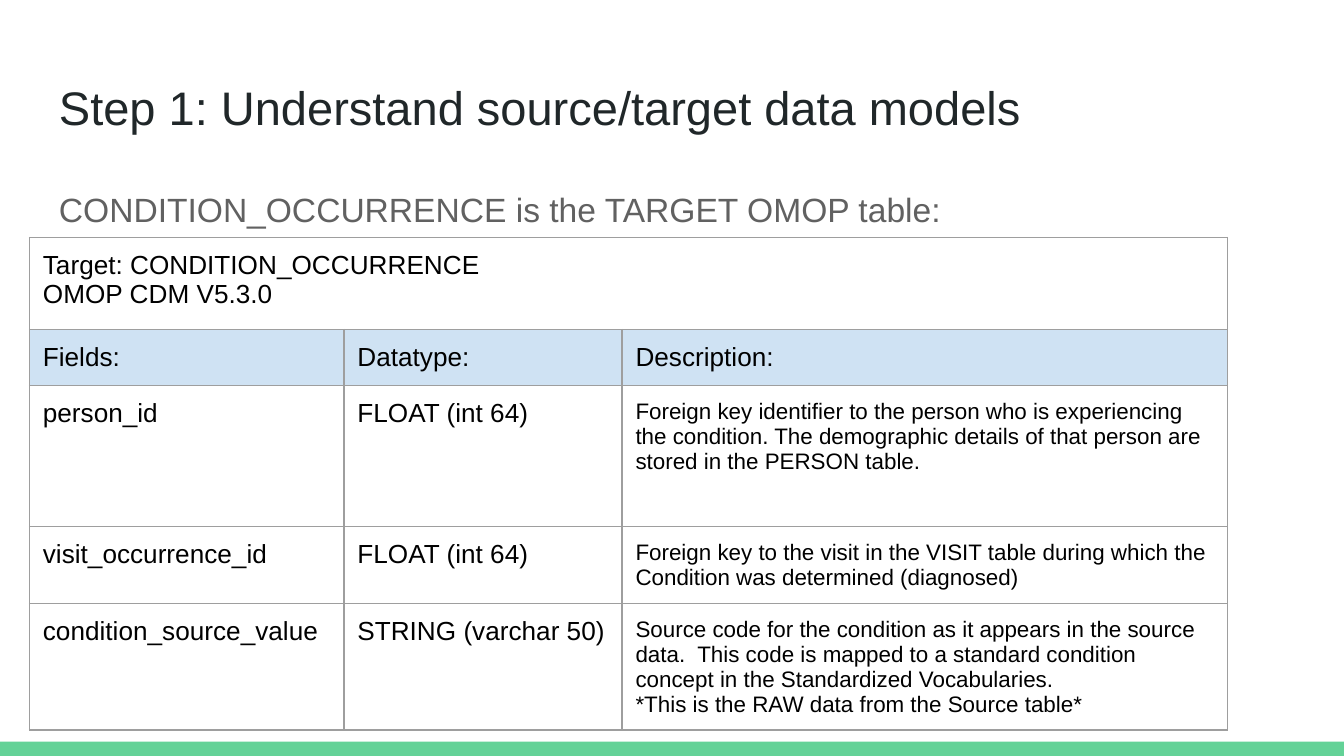
from lxml import etree
from pptx import Presentation
from pptx.dml.color import RGBColor
from pptx.enum import shapes, text
from pptx.oxml import ns
from pptx.util import Pt

COLORS = {
    "title": "202729",
    "body": "616161",
    "black": "000000",
    "header": "CFE2F3",
    "border": "9E9E9E",
    "accent": "63D297",
}
WIDTH, HEIGHT = 720, 405
INSET = 7.2
CELL_BOTTOM = 2
COLS = [168.5, 149, 324.5]
ROWS = [49.3, 30, 75.5, 41.2, 68]
TITLE_ROW = ["Target: CONDITION_OCCURRENCE", "OMOP CDM V5.3.0"]
HEADERS = ["Fields:", "Datatype:", "Description:"]
FIELDS = [
    ("person_id", "FLOAT (int 64)", [
        "Foreign key identifier to the person who is experiencing the condition. "
        "The demographic details of that person are stored in the PERSON table."]),
    ("visit_occurrence_id", "FLOAT (int 64)", [
        "Foreign key to the visit in the VISIT table during which the Condition "
        "was determined (diagnosed)"]),
    ("condition_source_value", "STRING (varchar 50)", [
        "Source code for the condition as it appears in the source data.  This code "
        "is mapped to a standard condition concept in the Standardized Vocabularies.",
        "*This is the RAW data from the Source table*"]),
]


def rgb(name):
    return RGBColor.from_string(COLORS[name])


def write(tf, lines, size=14, color="black", spacing=None):
    for i, line in enumerate(lines):
        p = tf.paragraphs[0] if i == 0 else tf.add_paragraph()
        p.line_spacing = spacing
        r = p.add_run()
        r.text = line
        r.font.name = "Arial"
        r.font.size = Pt(size)
        r.font.color.rgb = rgb(color)


def add_text(s, box, line, anchor=text.MSO_ANCHOR.TOP, **fmt):
    tf = s.shapes.add_textbox(*map(Pt, box)).text_frame
    tf.word_wrap = True
    tf.vertical_anchor = anchor
    tf.margin_left = tf.margin_right = tf.margin_top = tf.margin_bottom = Pt(INSET)
    write(tf, [line], **fmt)


def add_footer_bar(s, box):
    sp = s.shapes.add_shape(shapes.MSO_SHAPE.RECTANGLE, *map(Pt, box))
    sp.shadow.inherit = False
    sp.fill.solid()
    sp.fill.fore_color.rgb = rgb("accent")
    sp.line.fill.background()


def add_borders(cell):
    tc_pr = cell._tc.get_or_add_tcPr()
    for i, side in enumerate(("lnL", "lnR", "lnT", "lnB")):
        ln = etree.Element(ns.qn(f"a:{side}"), w=str(Pt(0.75)))
        fill = etree.SubElement(ln, ns.qn("a:solidFill"))
        etree.SubElement(fill, ns.qn("a:srgbClr"), val=COLORS["border"])
        tc_pr.insert(i, ln)


def fill_cell(cell, lines, size=14, fill=None):
    cell.margin_left = cell.margin_right = cell.margin_top = Pt(INSET)
    cell.margin_bottom = Pt(CELL_BOTTOM)
    if fill:
        cell.fill.solid()
        cell.fill.fore_color.rgb = rgb(fill)
    else:
        cell.fill.background()
    write(cell.text_frame, lines, size=size)


def add_field_table(s, left, top):
    box = (left, top, sum(COLS), sum(ROWS))
    table = s.shapes.add_table(len(ROWS), len(COLS), *map(Pt, box)).table
    table.first_row = table.horz_banding = False
    for col, width in zip(table.columns, COLS):
        col.width = Pt(width)
    for row, height in zip(table.rows, ROWS):
        row.height = Pt(height)

    table.cell(0, 0).merge(table.cell(0, len(COLS) - 1))
    fill_cell(table.cell(0, 0), TITLE_ROW)
    for j, header in enumerate(HEADERS):
        fill_cell(table.cell(1, j), [header], fill="header")
    for i, (field, datatype, description) in enumerate(FIELDS, 2):
        fill_cell(table.cell(i, 0), [field])
        fill_cell(table.cell(i, 1), [datatype])
        fill_cell(table.cell(i, 2), description, size=12)
    for cell in table.iter_cells():
        add_borders(cell)


def main():
    prs = Presentation()
    prs.slide_width, prs.slide_height = Pt(WIDTH), Pt(HEIGHT)
    s = prs.slides.add_slide(prs.slide_layouts[6])
    add_footer_bar(s, (0, HEIGHT - 7.6, WIDTH, 7.6))
    add_text(s, (24.5, 34, 671, 45.4), "Step 1: Understand source/target data models",
             anchor=text.MSO_ANCHOR.BOTTOM, size=25.2, color="title")
    add_text(s, (24.5, 90.7, 671, 269), "CONDITION_OCCURRENCE is the TARGET OMOP table:",
             size=18, color="body", spacing=1.15)
    add_field_table(s, 15.8, 127.2)
    prs.save("out.pptx")


if __name__ == "__main__":
    main()
